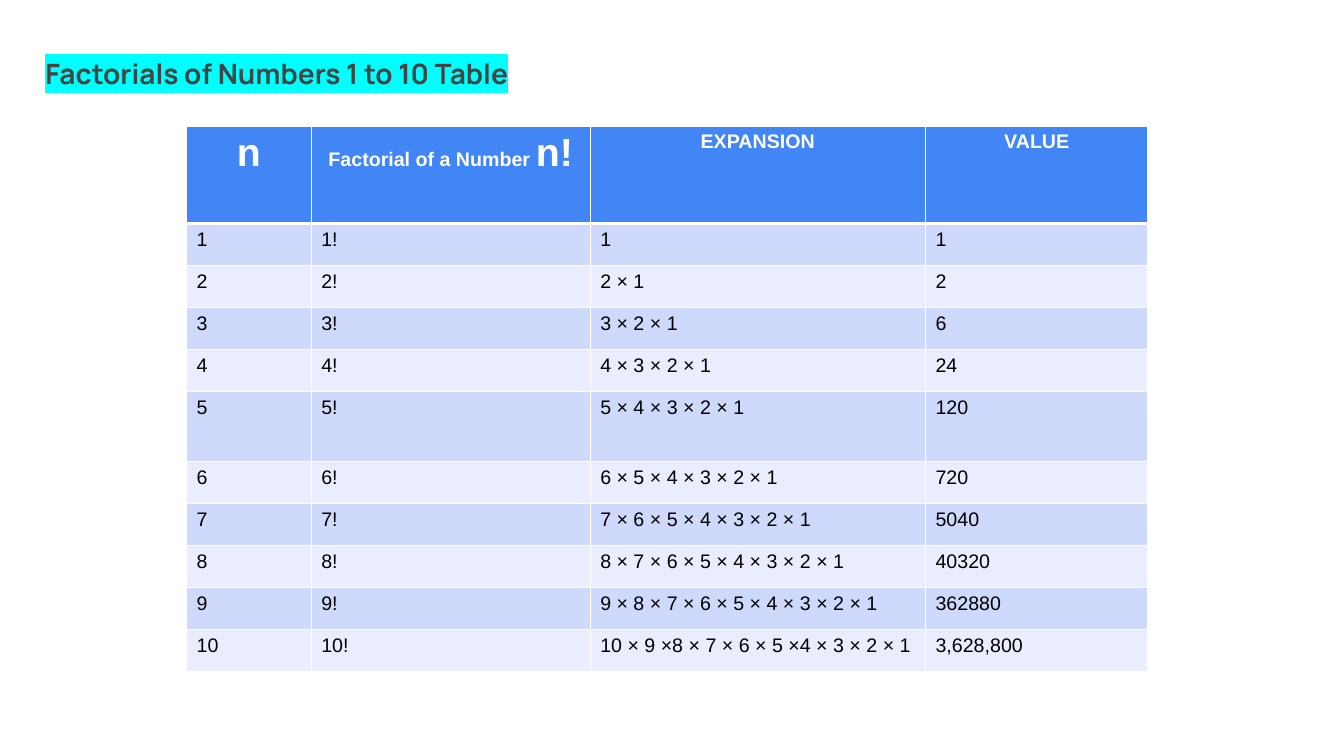
from dataclasses import dataclass
from math import factorial

from lxml import etree
from pptx import Presentation
from pptx.dml.color import RGBColor
from pptx.enum import text
from pptx.oxml import ns
from pptx.util import Pt


@dataclass(frozen=True)
class Theme:
    heading_font: str = "Manrope"
    table_font: str = "Arial"
    heading_size: int = 20
    symbol_size: int = 28
    table_size: int = 14
    heading: str = "444444"
    highlight: str = "00FFFF"
    header_fill: str = "4285F4"
    header_text: str = "FFFFFF"
    row_text: str = "000000"
    row_fills: tuple = ("CFD9FB", "E9EDFD")
    border: str = "FFFFFF"


def add_color(parent, color):
    etree.SubElement(parent, ns.qn("a:srgbClr"), val=color)


def write(paragraph, words, *, font, size, color, bold=False, highlight=None):
    """Add one formatted run to the paragraph."""
    run = paragraph.add_run()
    run.text = words
    run.font.size = Pt(size)
    run.font.bold = bold
    run.font.color.rgb = RGBColor.from_string(color)
    if highlight:
        add_color(etree.SubElement(run.font._element, ns.qn("a:highlight")), highlight)
    run.font.name = font


class FactorialSlide:
    def __init__(self, presentation, theme):
        self.theme = theme
        self.slide = presentation.slides.add_slide(presentation.slide_layouts[5])

    def add_title(self, words, left, top, width, height):
        theme = self.theme
        title = self.slide.shapes.title
        title.left, title.top = Pt(left), Pt(top)
        title.width, title.height = Pt(width), Pt(height)
        frame = title.text_frame
        frame.auto_size = text.MSO_AUTO_SIZE.NONE
        frame.vertical_anchor = text.MSO_ANCHOR.MIDDLE
        frame.margin_left = frame.margin_right = frame.margin_top = 0
        frame.margin_bottom = Pt(49)  # lifts the line clear of the table
        heading = frame.paragraphs[0]
        heading.alignment = text.PP_ALIGN.LEFT
        write(heading, words, font=theme.heading_font, size=theme.heading_size,
              color=theme.heading, bold=True, highlight=theme.highlight)

    def add_table(self, header, rows, left, top, widths, heights):
        """Header cells are lists of (words, size); row cells are strings."""
        theme = self.theme
        table = self.slide.shapes.add_table(
            len(heights), len(widths), Pt(left), Pt(top),
            Pt(sum(widths)), Pt(sum(heights))).table
        for column, width in zip(table.columns, widths):
            column.width = Pt(width)
        for row, height in zip(table.rows, heights):
            row.height = Pt(height)
        for column, parts in enumerate(header):
            self.fill_cell(table.cell(0, column), parts, theme.header_fill,
                           theme.header_text, bold=True, bottom=3,
                           align=text.PP_ALIGN.CENTER)
        for number, values in enumerate(rows, 1):
            fill = theme.row_fills[(number - 1) % 2]
            for column, value in enumerate(values):
                self.fill_cell(table.cell(number, column),
                               [(value, theme.table_size)], fill,
                               theme.row_text, top=3 if number == 1 else 1)

    def fill_cell(self, cell, parts, fill, color, bold=False, top=1, bottom=1,
                  align=text.PP_ALIGN.LEFT):
        properties = cell._tc.get_or_add_tcPr()
        for side, weight in (("L", 1), ("R", 1), ("T", top), ("B", bottom)):
            line = etree.SubElement(properties, ns.qn(f"a:ln{side}"),
                                    w=str(Pt(weight)))
            add_color(etree.SubElement(line, ns.qn("a:solidFill")),
                      self.theme.border)
        cell.fill.solid()
        cell.fill.fore_color.rgb = RGBColor.from_string(fill)
        paragraph = cell.text_frame.paragraphs[0]
        paragraph.alignment = align
        for words, size in parts:
            write(paragraph, words, font=self.theme.table_font, size=size,
                  color=color, bold=bold)


def factorial_row(n):
    expansion = " × ".join(str(factor) for factor in range(n, 0, -1))
    return str(n), f"{n}!", expansion, str(factorial(n))


def main():
    presentation = Presentation()
    presentation.slide_width, presentation.slide_height = Pt(960), Pt(540)
    theme = Theme()
    slide = FactorialSlide(presentation, theme)
    slide.add_title("Factorials of Numbers 1 to 10 Table", 32.4, 46.8, 894.2, 59.8)

    header = [
        [("n", theme.symbol_size)],
        [("Factorial of a Number ", theme.table_size), ("n!", theme.symbol_size)],
        [("EXPANSION", theme.table_size)],
        [("VALUE", theme.table_size)],
    ]
    rows = [factorial_row(n) for n in range(1, 10)]
    rows.append(("10", "10!", "10 × 9 ×8 × 7 × 6 × 5 ×4 × 3 × 2 × 1", "3,628,800"))
    heights = [69.6] + [50 if n == 5 else 30 for n in range(1, 11)]
    slide.add_table(header, rows, 133.3, 90, [89, 199.3, 239.5, 159], heights)
    presentation.save("out.pptx")


if __name__ == "__main__":
    main()
